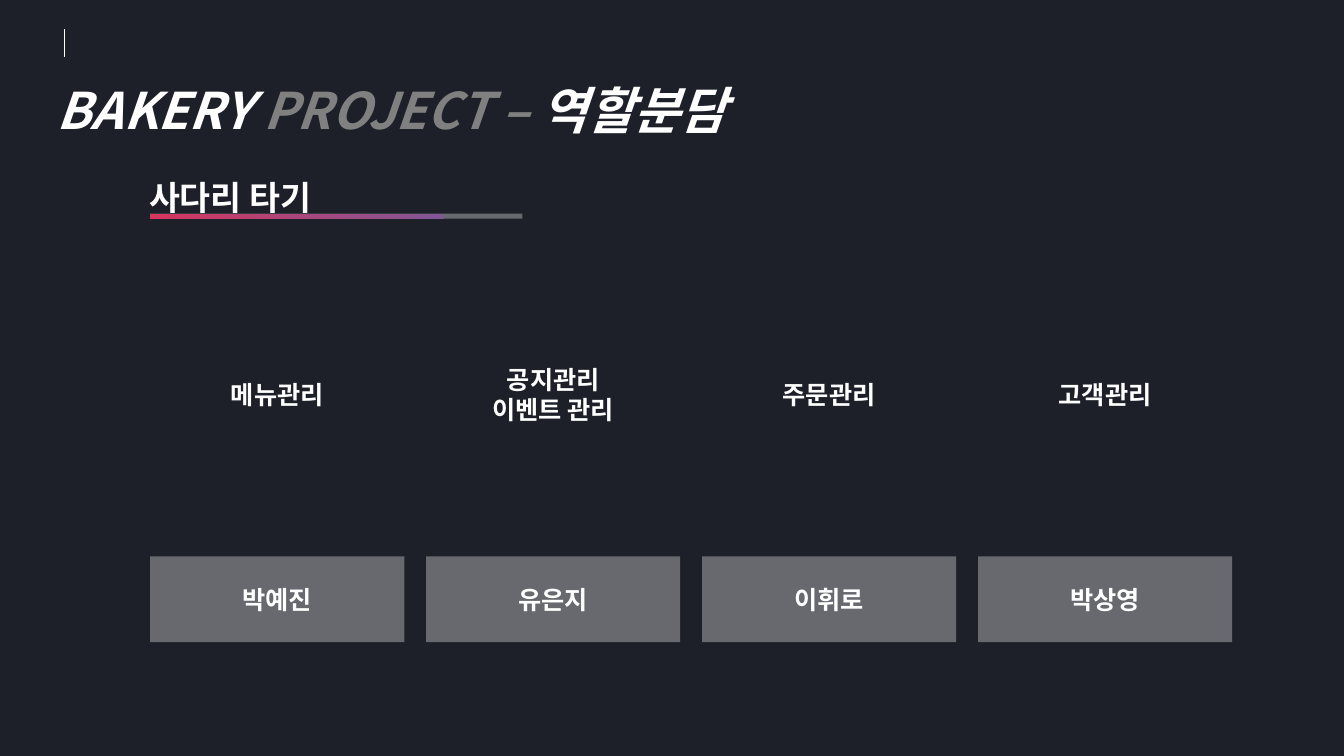
from lxml.etree import SubElement
from pptx import Presentation
from pptx.dml.color import RGBColor
from pptx.enum.shapes import MSO_CONNECTOR as CONNECTOR, MSO_SHAPE as SHAPE
from pptx.enum.text import MSO_ANCHOR as ANCHOR, MSO_AUTO_SIZE as AUTO_SIZE, PP_ALIGN as ALIGN
from pptx.oxml.ns import qn
from pptx.util import Inches, Pt

FONT = "Noto Sans CJK KR"
WHITE, GREY, DARK = "FFFFFF", "808080", "1D2029"
LEFT = 1.49
COLUMN_WIDTH, COLUMN_PITCH = 2.52, (9.7 - LEFT) / 3


def style_text(font, size, color=WHITE):
    """Set bold text in the slide's font, for Latin and Korean letters."""
    font.name, font.size, font.bold = FONT, Pt(size), True
    font.color.rgb = RGBColor.from_string(color)
    SubElement(font._element, qn("a:ea"), typeface=FONT)


def add_box(left, top, width, height, color, alpha=100, text=""):
    """Add a plain rectangle; alpha is its opacity in percent."""
    box = page.shapes.add_shape(SHAPE.RECTANGLE, Inches(left), Inches(top),
                                Inches(width), Inches(height))
    box.shadow.inherit = False
    box.line.fill.background()
    box.fill.solid()
    box.fill.fore_color.rgb = RGBColor.from_string(color)
    if alpha < 100:
        fill_color = box._element.spPr.find(".//" + qn("a:srgbClr"))
        SubElement(fill_color, qn("a:alpha"), val=str(alpha * 1000))
    if text:
        box.text_frame.text = text
        box.text_frame.vertical_anchor = ANCHOR.MIDDLE
        for para in box.text_frame.paragraphs:
            para.alignment = ALIGN.CENTER
            style_text(para.font, 18)
    return box


deck = Presentation()
deck.slide_width, deck.slide_height = Inches(13.33), Inches(7.5)
page = deck.slides.add_slide(deck.slide_layouts[5])
page.background.fill.solid()
page.background.fill.fore_color.rgb = RGBColor.from_string(DARK)

# Title and section heading
title = page.shapes.title
title.left, title.top, title.width, title.height = map(Inches, (0.46, 0.43, 9.54, 0.89))
heading = page.shapes.add_textbox(*map(Inches, (1.38, 1.51, 3.98, 0.63)))
for box in (title, heading):
    frame = box.text_frame
    frame.word_wrap = True
    frame.auto_size = AUTO_SIZE.SHAPE_TO_FIT_TEXT
    frame.vertical_anchor = ANCHOR.TOP
    frame.paragraphs[0].alignment = ALIGN.LEFT
    frame.paragraphs[0].line_spacing = 1.5

for text, color in (("BAKERY", WHITE), (" PROJECT – ", GREY), ("역할분담", WHITE)):
    span = title.text_frame.paragraphs[0].add_run()
    span.text = text
    span.font.italic = True
    style_text(span.font, 36, color)

heading_para = heading.text_frame.paragraphs[0]
heading_para.add_run().text = "사다리 타기"
style_text(heading_para.font, 24)

# Accent line and progress bar
accent = page.shapes.add_connector(CONNECTOR.STRAIGHT, Inches(0.64), Inches(0.29),
                                   Inches(0.64), Inches(0.57))
accent.line.color.rgb = RGBColor.from_string(WHITE)
accent.line.width = Pt(0.5)
SubElement(accent._element.spPr, qn("a:effectLst"))

add_box(LEFT, 2.12, 3.69, 0.05, WHITE, alpha=33)
progress = add_box(LEFT, 2.12, 2.91, 0.05, WHITE)
progress.fill.gradient()
progress.fill.gradient_angle = 180
for stop, position, color in zip(progress.fill.gradient_stops, (0, 1), ("815695", "D5355F")):
    stop.position = position
    stop.color.rgb = RGBColor.from_string(color)

# One column per team member
roles = (
    ("메뉴관리", "박예진"),
    ("공지관리\n이벤트 관리", "유은지"),
    ("주문관리", "이휘로"),
    ("고객관리", "박상영"),
)
for column, (duty, member) in enumerate(roles):
    left = LEFT + column * COLUMN_PITCH
    add_box(left, 2.75, COLUMN_WIDTH, 2.32, DARK, text=duty)
    add_box(left, 5.52, COLUMN_WIDTH, 0.85, WHITE, alpha=33, text=member)

deck.save("out.pptx")
